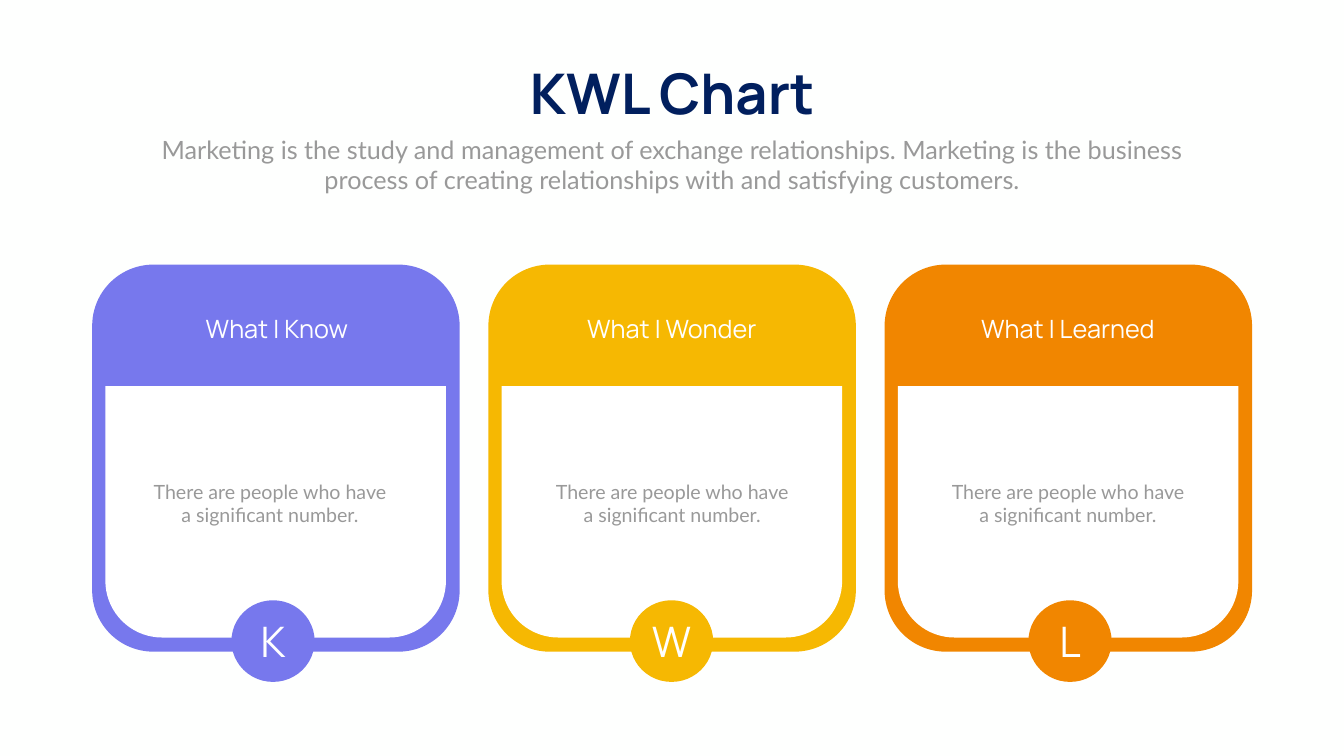
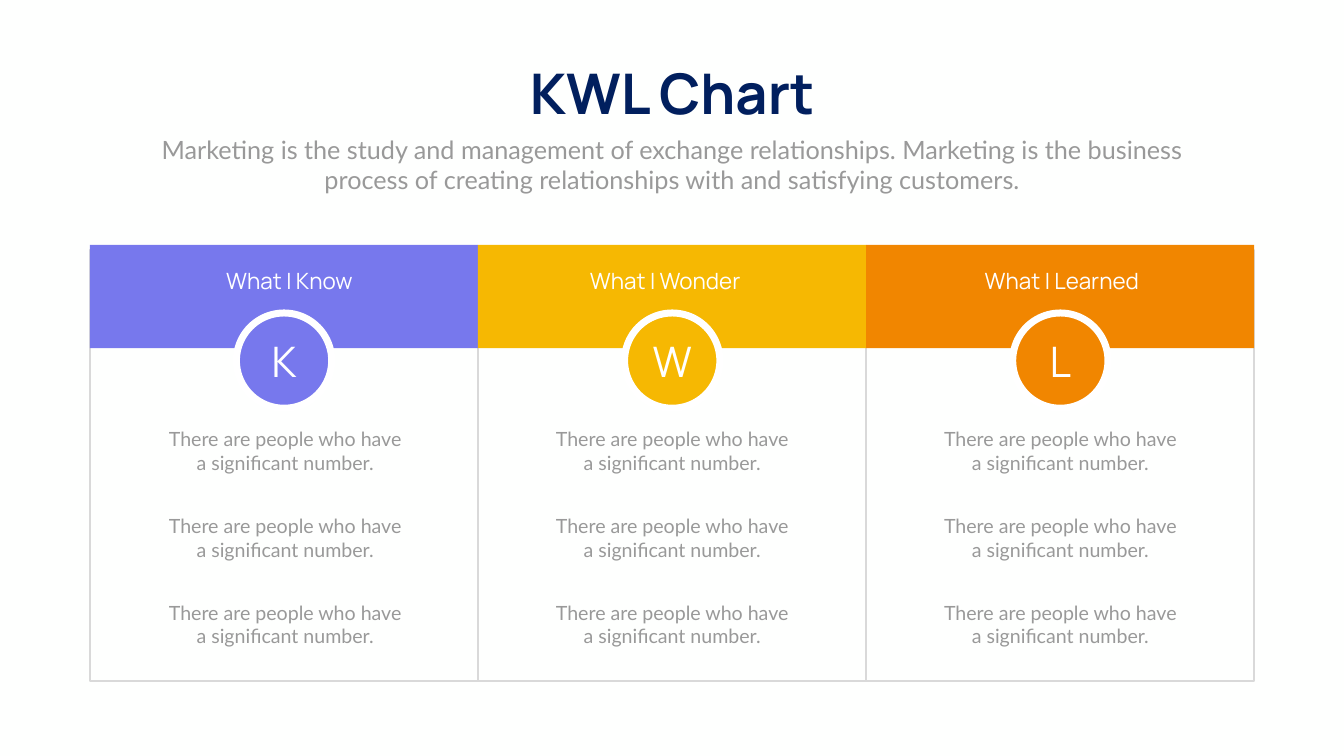
"""Build two KWL chart slides on a grid of 100 columns by 100 rows."""
import math
from pptx import Presentation
from pptx import util as u
from pptx.dml import color
from pptx.enum import shapes, text

COLORS = {"paper": "FEFFFE", "white": "FFFFFF", "navy": "011F5E", "grey": "999999",
          "rule": "D9D9D9", "know": "7778ED", "wonder": "F6B802", "learned": "F18600"}
RGB = {name: color.RGBColor.from_string(value) for name, value in COLORS.items()}
STYLES = {
    "title": {"name": "Manrope", "size": u.Pt(80), "bold": True, "color": "navy"},
    "intro": {"name": "Lato", "size": u.Pt(36), "color": "grey"},
    "card heading": {"name": "Manrope", "size": u.Pt(36), "color": "white"},
    "table heading": {"name": "Manrope", "size": u.Pt(32), "color": "white"},
    "letter": {"name": "Manrope", "size": u.Pt(60), "color": "white"},
    "body": {"name": "Lato", "size": u.Pt(28), "color": "grey"},
}
TITLE = "KWL Chart"
INTRO = ("Marketing is the study and management of exchange relationships. "
         "Marketing is the business process of creating relationships with "
         "and satisfying customers.")
BODY = "There are people who have a significant number."
TOPICS = [("K", "What I Know", "know", 14.03),
          ("W", "What I Wonder", "wonder", 17.89),
          ("L", "What I Learned", "learned", 16.54)]
SHAPE = shapes.MSO_SHAPE

deck = Presentation()
deck.slide_width, deck.slide_height = u.Inches(26.66), u.Inches(15)
COLUMN, ROW = deck.slide_width / 100, deck.slide_height / 100


def write(box, words, style):
    """Put one centred paragraph into a box."""
    para = box.text_frame.paragraphs[0]
    para.alignment = text.PP_ALIGN.CENTER
    span = para.add_run()
    span.text = words
    for key, value in STYLES[style].items():
        if key == "color":
            span.font.color.rgb = RGB[value]
        else:
            setattr(span.font, key, value)


def draw(page, kind, area, words=None, style=None, fill=None, line=None, weight=0):
    """Add a shape, or a text box when kind is None, on the grid."""
    left, top, width, height = area
    place = [round(left * COLUMN), round(top * ROW), round(width * COLUMN), round(height * ROW)]
    if kind is None:
        box = page.shapes.add_textbox(*place)
        box.text_frame.word_wrap = style != "title"
        box.text_frame.auto_size = text.MSO_AUTO_SIZE.SHAPE_TO_FIT_TEXT
    else:
        box = page.shapes.add_shape(kind, *place)
        box.shadow.inherit = False
        box.text_frame.vertical_anchor = text.MSO_ANCHOR.MIDDLE
        for side in ("left", "right", "top", "bottom"):
            setattr(box.text_frame, f"margin_{side}", 0)
        if fill:
            box.fill.solid()
            box.fill.fore_color.rgb = RGB[fill]
        else:
            box.fill.background()
        if line:
            box.line.color.rgb = RGB[line]
            box.line.width = u.Pt(weight)
        else:
            box.line.fill.background()
    if words:
        write(box, words, style)


pages = []
for number in range(2):
    page = deck.slides.add_slide(deck.slide_layouts[6])
    page.background.fill.solid()
    page.background.fill.fore_color.rgb = RGB["paper"]
    draw(page, None, (38.3, 7.47, 23.44, 9.67), TITLE, "title")
    draw(page, None, (10.95, 17.4, 78.1, 8.73), INTRO, "intro")
    pages.append(page)
cards, table = pages

PITCH = 29.48
PANEL_TOP, PANEL_BOTTOM, PANEL_WIDTH = 51.07, 84.33, 25.34
CORNER_X, CORNER_Y = 4.22, 7.5
for index, (letter, heading, hue, width) in enumerate(TOPICS):
    left = 6.86 + index * PITCH
    draw(cards, SHAPE.ROUNDED_RECTANGLE, (left, 35, 27.34, 51.2), fill=hue)
    start, end = left + 0.98, left + 0.98 + PANEL_WIDTH
    outline = [(end, PANEL_TOP)]
    for center, first in ((end - CORNER_X, 0), (start + CORNER_X, 90)):
        for degrees in range(first, first + 91, 5):
            angle = math.radians(degrees)
            outline.append((center + CORNER_X * math.cos(angle),
                            PANEL_BOTTOM - CORNER_Y + CORNER_Y * math.sin(angle)))
    points = [(round(x * COLUMN), round(y * ROW)) for x, y in outline]
    builder = cards.shapes.build_freeform(round(start * COLUMN), round(PANEL_TOP * ROW))
    builder.add_line_segments(points, close=True)
    panel = builder.convert_to_shape()
    panel.shadow.inherit = False
    panel.fill.solid()
    panel.fill.fore_color.rgb = RGB["white"]
    panel.line.fill.background()

for index, (letter, heading, hue, width) in enumerate(TOPICS):
    draw(cards, SHAPE.OVAL, (17.22 + index * 29.65, 79.4, 6.19, 10.8), letter, "letter", hue)
    draw(cards, None, ((13.58, 41.04, 71.19)[index], 41.07, width, 4.73),
         heading, "card heading")
    draw(cards, None, ((10.69, 40.62, 70.07)[index], 63.13, 18.79, 6.93), BODY, "body")

CELL, EDGE = 28.88, 6.68
for index in range(len(TOPICS)):
    draw(table, SHAPE.RECTANGLE, (EDGE + index * CELL, 33.07, CELL, 57),
         line="rule", weight=3)

for index, (letter, heading, hue, width) in enumerate(TOPICS):
    draw(table, SHAPE.RECTANGLE, (EDGE + index * CELL, 32.4, CELL, 13.67), fill=hue)
    draw(table, SHAPE.OVAL, (17.59 + index * CELL, 41.4, 7.09, 12.6),
         letter, "letter", hue, "white", 10)
    draw(table, None, ((14.52, 40.55, 70.74)[index], 35, width, 4.27),
         heading, "table heading")
    for line in range(3):
        draw(table, None, ((11.82, 40.62, 69.5)[index], 56.2 + line * 11.47, 18.79, 6.93),
             BODY, "body")

deck.save("out.pptx")
